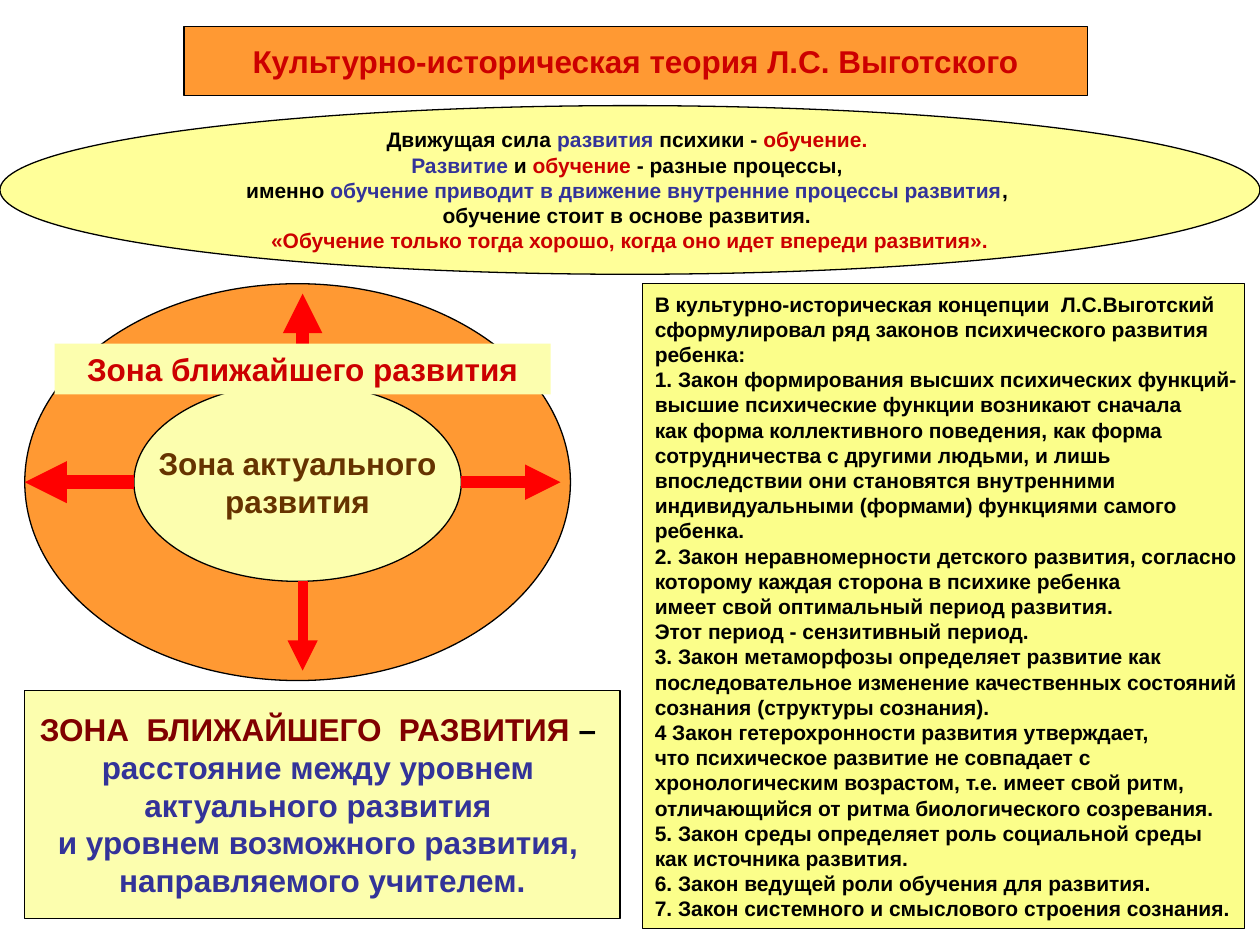
"""Build a slide on the cultural-historical theory of development."""
from typing import NamedTuple

from lxml.etree import SubElement
from pptx import Presentation
from pptx.dml.color import RGBColor
from pptx.enum.shapes import MSO_CONNECTOR, MSO_SHAPE as Preset
from pptx.enum.text import MSO_ANCHOR as Anchor, MSO_AUTO_SIZE as AutoSize, PP_ALIGN as Align
from pptx.oxml.ns import qn
from pptx.util import Cm, Pt

BLACK = RGBColor(0x00, 0x00, 0x00)
RED = RGBColor(0xCC, 0x00, 0x00)
ARROW_RED = RGBColor(0xFF, 0x00, 0x00)
MAROON = RGBColor(0x80, 0x00, 0x00)
BROWN = RGBColor(0x66, 0x33, 0x00)
BLUE = RGBColor(0x33, 0x33, 0x99)
ORANGE = RGBColor(0xFF, 0x99, 0x33)
YELLOW = RGBColor(0xFF, 0xFF, 0x99)
CREAM = RGBColor(0xFC, 0xFE, 0xAE)
LEMON = RGBColor(0xFB, 0xFE, 0x8A)


class Panel(NamedTuple):
    preset: Preset
    left: float
    top: float
    width: float
    height: float
    fill: RGBColor
    outlined: bool = True


class Arrow(NamedTuple):
    start: tuple[float, float]
    end: tuple[float, float]
    weight: float


class Span(NamedTuple):
    text: str
    color: RGBColor


TITLE = Panel(Preset.RECTANGLE, 3.71, 0.53, 18.21, 1.4, ORANGE)
DRIVING_FORCE = Panel(Preset.OVAL, 0, 2.13, 25.4, 3.4, YELLOW)
OUTER_ZONE = Panel(Preset.OVAL, 0.5, 5.72, 11, 8, ORANGE)
INNER_ZONE = Panel(Preset.OVAL, 2.7, 7.72, 6.6, 4, CREAM)
ZONE_LABEL = Panel(Preset.RECTANGLE, 1.1, 6.93, 10, 1.02, CREAM, outlined=False)
DEFINITION = Panel(Preset.RECTANGLE, 0.5, 13.92, 12, 4.6, CREAM)
LAWS = Panel(Preset.RECTANGLE, 12.95, 5.72, 12.14, 13, LEMON)

ARROWS = [
    Arrow((6.1, 11.72), (6.1, 13.52), 5.75),
    Arrow((6.1, 7.72), (6.1, 5.92), 7.5),
    Arrow((2.7, 9.72), (0.5, 9.72), 8),
    Arrow((9.3, 9.72), (11.3, 9.72), 6.75),
]

DRIVING_FORCE_LINES = [
    [Span("Движущая сила ", BLACK), Span("развития", BLUE),
     Span(" психики - ", BLACK), Span("обучение. ", RED)],
    [Span("Развитие ", BLUE), Span("и ", BLACK),
     Span("обучение ", RED), Span("- разные процессы, ", BLACK)],
    [Span("именно ", BLACK),
     Span("обучение приводит в движение внутренние процессы развития", BLUE),
     Span(", ", BLACK)],
    [Span("обучение стоит в основе развития. ", BLACK)],
    [Span("«Обучение только тогда хорошо, когда оно идет впереди развития».", RED)],
]

DEFINITION_LINES = [
    [Span("ЗОНА  БЛИЖАЙШЕГО  РАЗВИТИЯ", MAROON), Span(" – ", BLACK)],
    "расстояние между уровнем ",
    "актуального развития ",
    "и уровнем возможного развития, ",
    "направляемого учителем.",
]

LAW_LINES = [
    "В культурно-историческая концепции  Л.С.Выготский",
    "сформулировал ряд законов психического развития",
    "ребенка:",
    "1. Закон формирования высших психических функций-",
    "высшие психические функции возникают сначала",
    "как форма коллективного поведения, как форма",
    "сотрудничества с другими людьми, и лишь",
    "впоследствии они становятся внутренними",
    "индивидуальными (формами) функциями самого",
    "ребенка.",
    "2. Закон неравномерности детского развития, согласно",
    "которому каждая сторона в психике ребенка",
    "имеет свой оптимальный период развития.",
    "Этот период - сензитивный период.",
    "3. Закон метаморфозы определяет развитие как",
    "последовательное изменение качественных состояний",
    "сознания (структуры сознания).",
    "4 Закон гетерохронности развития утверждает,",
    "что психическое развитие не совпадает с",
    "хронологическим возрастом, т.е. имеет свой ритм,",
    "отличающийся от ритма биологического созревания.",
    "5. Закон среды определяет роль социальной среды",
    "как источника развития.",
    "6. Закон ведущей роли обучения для развития.",
    "7. Закон системного и смыслового строения сознания.",
]


def draw_panel(shapes, panel: Panel):
    box = (Cm(value) for value in panel[1:5])
    shape = shapes.add_shape(panel.preset, *box)
    shape.shadow.inherit = False
    shape.fill.solid()
    shape.fill.fore_color.rgb = panel.fill
    if panel.outlined:
        shape.line.color.rgb = BLACK
        shape.line.width = Pt(0.75)
    else:
        shape.line.fill.background()
    return shape


def draw_arrow(shapes, arrow: Arrow) -> None:
    points = (Cm(value) for value in arrow.start + arrow.end)
    connector = shapes.add_connector(MSO_CONNECTOR.STRAIGHT, *points)
    connector.line.color.rgb = ARROW_RED
    connector.line.width = Pt(arrow.weight)
    SubElement(connector.line._get_or_add_ln(), qn("a:tailEnd"), type="triangle")
    SubElement(connector._element.spPr, qn("a:effectLst"))


def write_text(shape, lines: list, *, color: RGBColor = BLACK, size: float = 18,
               align: Align = Align.CENTER, anchor: Anchor = Anchor.MIDDLE,
               wrap: bool = False, auto_size: AutoSize = AutoSize.NONE) -> None:
    frame = shape.text_frame
    frame.word_wrap = wrap
    frame.auto_size = auto_size
    frame.vertical_anchor = anchor
    for index, line in enumerate(lines):
        paragraph = frame.add_paragraph() if index else frame.paragraphs[0]
        paragraph.alignment = align
        for span in [Span(line, color)] if isinstance(line, str) else line:
            run = paragraph.add_run()
            run.text = span.text
            run.font.name = "Arial"
            run.font.size = Pt(size)
            run.font.bold = True
            run.font.color.rgb = span.color


def draw_zones(shapes) -> None:
    draw_panel(shapes, OUTER_ZONE)
    write_text(draw_panel(shapes, INNER_ZONE), ["Зона актуального", "развития"], color=BROWN)
    for arrow in ARROWS:
        draw_arrow(shapes, arrow)
    write_text(draw_panel(shapes, ZONE_LABEL), ["Зона ближайшего развития"], color=RED,
               anchor=Anchor.TOP, wrap=True, auto_size=AutoSize.SHAPE_TO_FIT_TEXT)


def main() -> None:
    presentation = Presentation()
    presentation.slide_width, presentation.slide_height = Cm(25.4), Cm(19.05)
    slide = presentation.slides.add_slide(presentation.slide_layouts[6])
    shapes = slide.shapes
    write_text(draw_panel(shapes, DRIVING_FORCE), DRIVING_FORCE_LINES, size=12)
    draw_zones(shapes.add_group_shape().shapes)
    write_text(draw_panel(shapes, TITLE), ["Культурно-историческая теория Л.С. Выготского"], color=RED)
    write_text(draw_panel(shapes, DEFINITION), DEFINITION_LINES, color=BLUE)
    write_text(draw_panel(shapes, LAWS), LAW_LINES, size=12, align=Align.LEFT)
    presentation.save("out.pptx")


if __name__ == "__main__":
    main()
